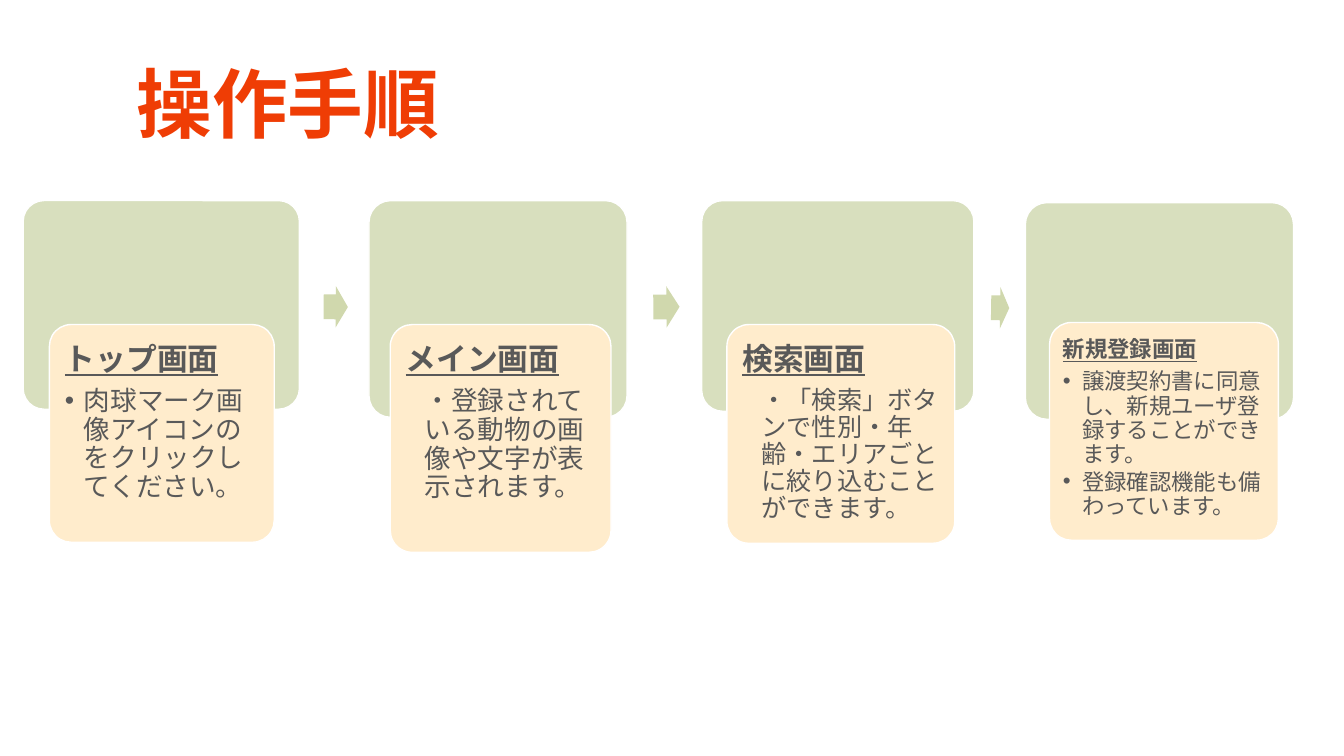
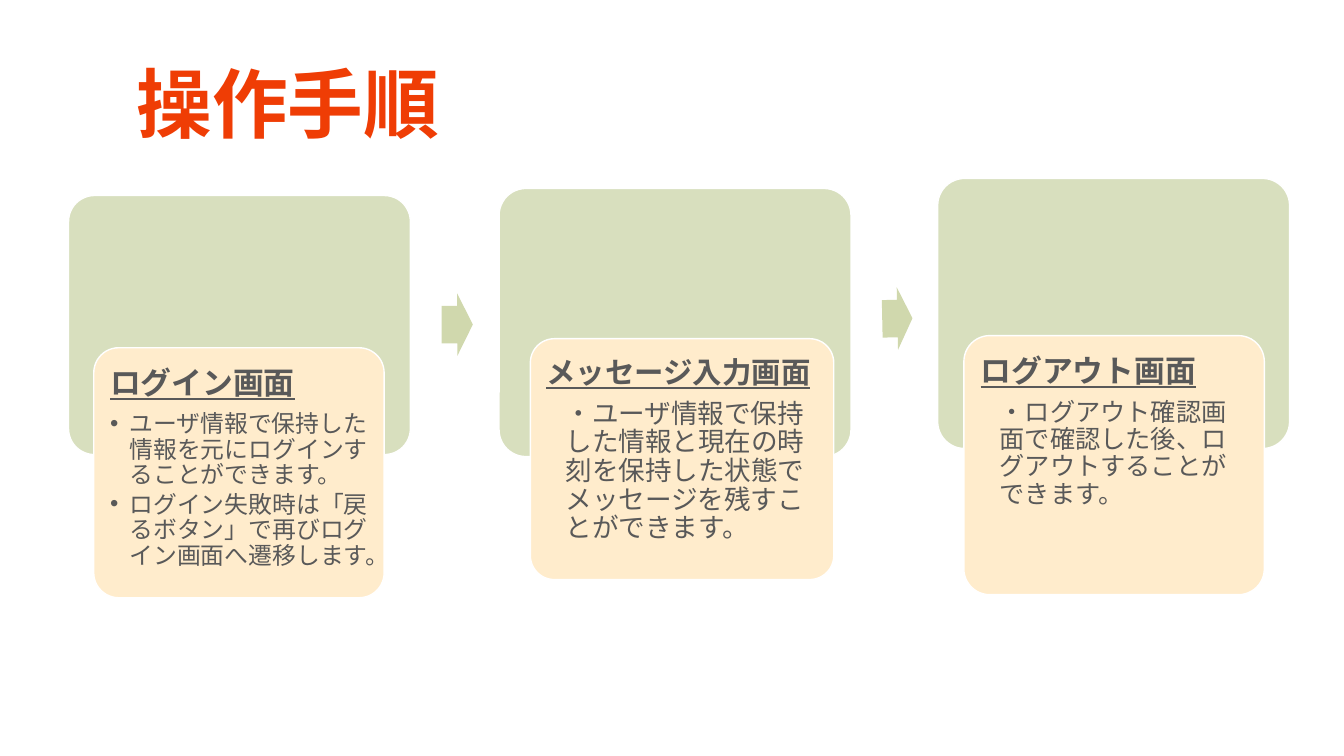
from lxml import etree
from pptx import Presentation
from pptx.dml.color import RGBColor
from pptx.enum.lang import MSO_LANGUAGE_ID
from pptx.enum.shapes import MSO_SHAPE
from pptx.enum.text import MSO_ANCHOR, PP_ALIGN
from pptx.oxml.ns import qn
from pptx.util import Emu, Pt

ROUNDED = MSO_SHAPE.ROUNDED_RECTANGLE
ARROW = MSO_SHAPE.RIGHT_ARROW
TOP = MSO_ANCHOR.TOP
LEFT, CENTER = PP_ALIGN.LEFT, PP_ALIGN.CENTER
JAPANESE = MSO_LANGUAGE_ID.JAPANESE

ORANGE = RGBColor(0xEF, 0x3D, 0x05)
GREEN = RGBColor(0xD8, 0xDF, 0xBE)
ARROW_GREEN = RGBColor(0xD0, 0xD8, 0xAD)
CREAM = RGBColor(0xFF, 0xEC, 0xCC)
GRAY = RGBColor(0x59, 0x59, 0x59)
WHITE = RGBColor(0xFF, 0xFF, 0xFF)
LATIN, JAPANESE_FONT = "Arial", "Noto Sans CJK JP"

PX = 9144
PAGE_SIZE = (1333, 750)
TITLE, TITLE_BOX, TITLE_SIZE = "操作手順", (123, 46, 325, 101), 54
TITLE_LINE, HEADING_LINE, BODY_LINE = 1.28, 1.18, 1.08
INDENT = 19

FLOWS = [
    {
        "steps": [
            {"panel": (23, 199, 274, 207), "card": (49, 322, 223, 216), "inset": 9,
             "heading": ("トップ画面", 22), "size": 19, "bullet": True,
             "body": ["肉球マーク画像アイコンのをクリックしてください。"]},
            {"panel": (366, 199, 256, 215), "card": (387, 322, 219, 226), "inset": 9,
             "heading": ("メイン画面", 22), "size": 19, "bullet": False,
             "body": ["・登録されている動物の画像や文字が表示されます。"]},
            {"panel": (696, 199, 270, 209), "card": (721, 322, 226, 217), "inset": 9,
             "heading": ("検索画面", 22), "size": 18, "bullet": False,
             "body": ["・「検索」ボタンで性別・年齢・エリアごとに絞り込むことができます。"]},
            {"panel": (1017, 201, 266, 215), "card": (1041, 320, 227, 216), "inset": 7,
             "heading": ("新規登録画面", 16), "size": 16, "bullet": True,
             "body": ["譲渡契約書に同意し、新規ユーザ登録することができます。",
                      "登録確認機能も備わっています。"]},
        ],
        "arrows": [((321, 284, 24, 41), 0.6), ((648, 284, 26, 41), 359.4),
                   ((983, 285, 18, 41), 0.9)],
    },
    {
        "steps": [
            {"panel": (68, 194, 339, 257), "card": (93, 345, 288, 248), "inset": 9,
             "heading": ("ログイン画面", 22), "size": 17, "bullet": True,
             "body": ["ユーザ情報で保持した情報を元にログインすることができます。",
                      "ログイン失敗時は「戻るボタン」で再びログイン画面へ遷移します。"]},
            {"panel": (495, 187, 349, 266), "card": (526, 336, 301, 239), "inset": 9,
             "heading": ("メッセージ入力画面", 21), "size": 19, "bullet": False,
             "body": ["・ユーザ情報で保持した情報と現在の時刻を保持した状態でメッセージを残すことができます。"]},
            {"panel": (930, 177, 349, 268), "card": (956, 333, 298, 257), "inset": 9,
             "heading": ("ログアウト画面", 22), "size": 18, "bullet": False,
             "body": ["・ログアウト確認画面で確認した後、ログアウトすることができます。"]},
        ],
        "arrows": [((438, 291, 31, 62), 359.7), ((875, 285, 30, 62), 358.8)],
    },
]


def px(*lengths):
    return [Emu(length * PX) for length in lengths]


def add_block(shapes, kind, place, fill, adjustments, outlined=True):
    block = shapes.add_shape(kind, *px(*place))
    block.shadow.inherit = False
    for index, value in enumerate(adjustments):
        block.adjustments[index] = value
    block.fill.solid()
    block.fill.fore_color.rgb = fill
    if outlined:
        block.line.color.rgb = WHITE
        block.line.width = Pt(1)
    else:
        block.line.fill.background()
    return block


def write(para, text, size, line, color, font=LATIN, bold=False, underline=False,
          align=LEFT, after=0):
    para.alignment = align
    para.line_spacing = Pt(round(size * line, 1))
    para.space_after = Pt(round(size * after, 1))
    span = para.add_run()
    span.text = text
    span.font.name = font
    span.font.size = Pt(size)
    span.font.bold = bold
    span.font.underline = underline
    span.font.color.rgb = color
    span.font.language_id = JAPANESE
    east_asian = etree.SubElement(span.font._element, qn("a:ea"))
    east_asian.set("typeface", JAPANESE_FONT)


def indent(para, bullet):
    para.level = 1
    properties = para._p.get_or_add_pPr()
    properties.set("marL", str(INDENT * PX))
    properties.set("indent", str(-INDENT * PX if bullet else 0))
    if bullet:
        etree.SubElement(properties, qn("a:buFont")).set("typeface", LATIN)
        etree.SubElement(properties, qn("a:buChar")).set("char", "•")


def add_step(shapes, step):
    add_block(shapes, ROUNDED, step["panel"], GREEN, [0.1])
    card = add_block(shapes, ROUNDED, step["card"], CREAM, [0.1])
    frame = card.text_frame
    frame.word_wrap = True
    frame.vertical_anchor = TOP
    inset = step["inset"]
    frame.margin_left, frame.margin_top, frame.margin_right, frame.margin_bottom = px(
        inset, inset, inset - 1, inset)
    heading, size = step["heading"]
    write(frame.paragraphs[0], heading, size, HEADING_LINE, GRAY,
          bold=True, underline=True, after=0.35)
    for text in step["body"]:
        para = frame.add_paragraph()
        write(para, text, step["size"], BODY_LINE, GRAY, font=JAPANESE_FONT, after=0.15)
        indent(para, step["bullet"])


def add_title(page):
    box = page.shapes.add_textbox(*px(*TITLE_BOX))
    box.text_frame.word_wrap = False
    write(box.text_frame.paragraphs[0], TITLE, TITLE_SIZE, TITLE_LINE, ORANGE,
          bold=True, align=CENTER)


def main():
    deck = Presentation()
    deck.slide_width, deck.slide_height = px(*PAGE_SIZE)
    for flow in FLOWS:
        page = deck.slides.add_slide(deck.slide_layouts[6])
        shapes = page.shapes.add_group_shape().shapes
        for step in flow["steps"]:
            add_step(shapes, step)
        for place, angle in flow["arrows"]:
            arrow = add_block(shapes, ARROW, place, ARROW_GREEN, [0.6, 0.5], outlined=False)
            arrow.rotation = angle
        add_title(page)
    deck.save("out.pptx")


if __name__ == "__main__":
    main()
